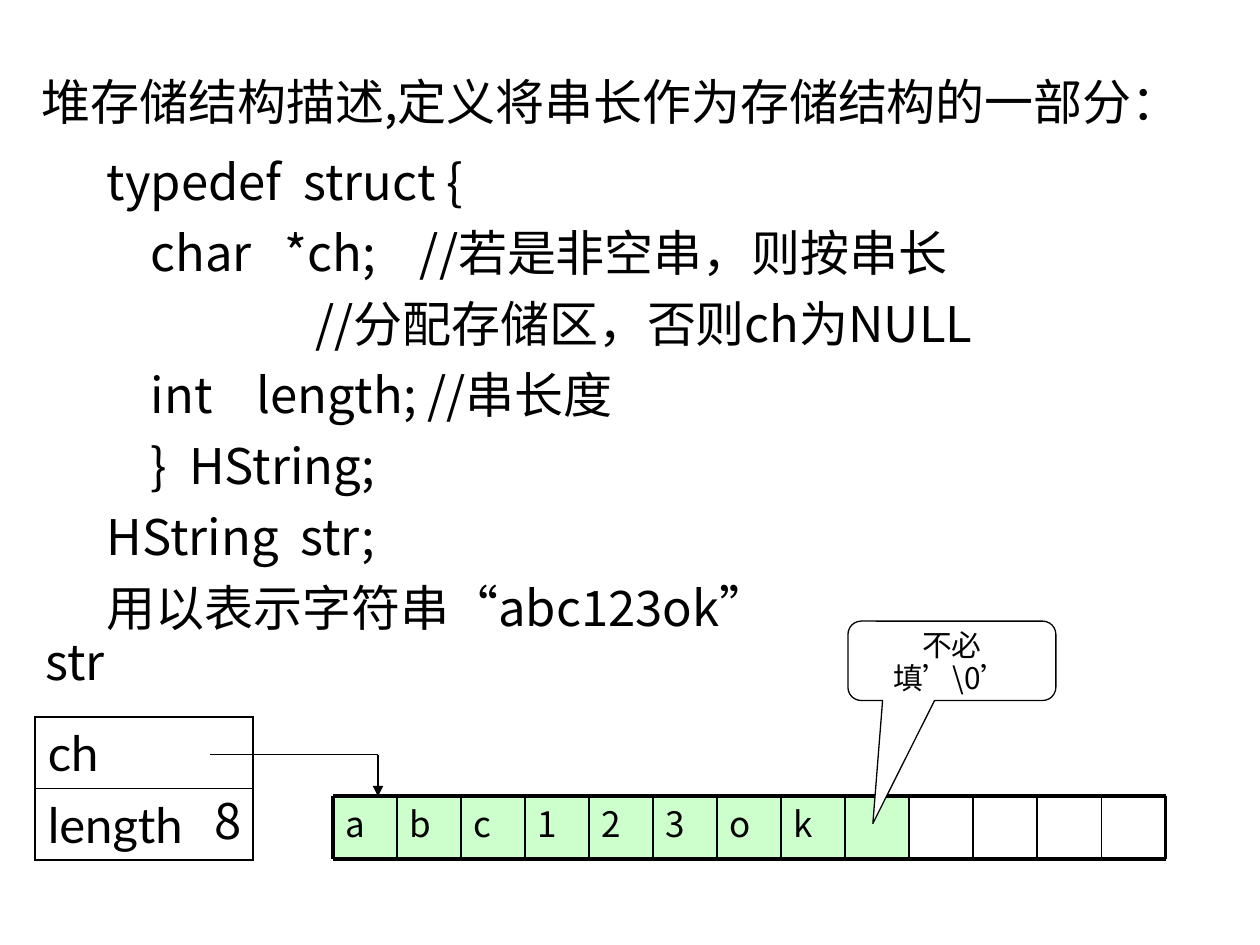
import itertools

import pptx
import pptx.dml.color
import pptx.enum.shapes
import pptx.enum.text
import pptx.oxml.ns
import pptx.util
from lxml import etree

Inches, Pt = pptx.util.Inches, pptx.util.Pt
SHAPE = pptx.enum.shapes.MSO_SHAPE
ANCHOR = pptx.enum.text.MSO_ANCHOR
ALIGN = pptx.enum.text.PP_ALIGN
qn = pptx.oxml.ns.qn

BLACK = pptx.dml.color.RGBColor(0, 0, 0)
WHITE = pptx.dml.color.RGBColor(255, 255, 255)
GREEN = pptx.dml.color.RGBColor(0xCC, 0xFF, 0xCC)
SANS = "Noto Sans CJK SC"
QUOTES = "“”’"

TITLE = "堆存储结构描述,定义将串长作为存储结构的一部分："
CODE = [
    "typedef  struct {",
    "    char   *ch;    //若是非空串，则按串长",
    "                   //分配存储区，否则ch为NULL",
    "    int    length; //串长度",
    "    }  HString;",
    "HString  str;",
    "用以表示字符串“abc123ok”",
]
LEFT, TOP, BASE = 2.64, 6.32, 6.82
SLOTS, USED = 13, 9
STEP = (9.25 - LEFT) / SLOTS


def write(frame, lines, size=28, font=SANS, align=ALIGN.LEFT, gap=0,
          space=None, anchor=ANCHOR.TOP, inset=0.1, wrap=True):
    """Fill a text frame; curly quotes are set in Arial."""
    frame.word_wrap = wrap
    frame.auto_size = pptx.enum.text.MSO_AUTO_SIZE.NONE
    frame.vertical_anchor = anchor
    frame.margin_left, frame.margin_right = Inches(inset), Inches(0.1)
    frame.margin_top = frame.margin_bottom = Inches(0.05)
    for index, line in enumerate(lines):
        para = frame.add_paragraph() if index else frame.paragraphs[0]
        para.alignment = align
        para.space_before = Pt(gap if index else 0)
        if space:
            para.line_spacing = space
        for quote, chars in itertools.groupby(line, lambda c: c in QUOTES):
            run = para.add_run()
            run.text = "".join(chars)
            run.font.size = Pt(size)
            run.font.color.rgb = BLACK
            run.font.name = "Arial" if quote else font
            east = etree.SubElement(run.font._element, qn("a:ea"))
            east.set("typeface", SANS)


def place(item, left, top, width, height):
    item.left, item.top = Inches(left), Inches(top)
    item.width, item.height = Inches(width), Inches(height)


def add_label(slide, box, lines, **fmt):
    label = slide.shapes.add_textbox(*map(Inches, box))
    write(label.text_frame, lines, **fmt)


def add_box(slide, kind, box, color, border=None):
    shape = slide.shapes.add_shape(kind, *map(Inches, box))
    shape.shadow.inherit = False
    shape.fill.solid()
    shape.fill.fore_color.rgb = color
    if border:
        shape.line.color.rgb = BLACK
        shape.line.width = Pt(border)
    else:
        shape.line.fill.background()
    return shape


def add_line(slide, start, end, width, arrow=False):
    line = slide.shapes.add_connector(
        pptx.enum.shapes.MSO_CONNECTOR.STRAIGHT, *map(Inches, start + end))
    line.line.color.rgb = BLACK
    line.line.width = Pt(width)
    if arrow:
        tail = etree.SubElement(line.line._get_or_add_ln(), qn("a:tailEnd"))
        tail.set("type", "triangle")
    etree.SubElement(line._element.spPr, qn("a:effectLst"))


def add_array(slide, letters):
    """Draw the heap cells, the used ones shaded, with their rules."""
    for index in range(USED):
        cell = add_box(slide, SHAPE.RECTANGLE,
                       (LEFT + index * STEP, TOP, STEP, BASE - TOP), GREEN)
        if index < len(letters):
            write(cell.text_frame, [letters[index]], size=20)
    for level in (TOP, BASE):
        add_line(slide, (LEFT, level), (LEFT + SLOTS * STEP, level), 2.25)
    for index in range(SLOTS + 1):
        edge = LEFT + index * STEP
        width = 2.25 if index in (0, SLOTS) else 1
        add_line(slide, (edge, TOP), (edge, BASE), width)


def set_border(cell, **widths):
    props = cell._tc.get_or_add_tcPr()
    for index, (side, width) in enumerate(widths.items()):
        line = etree.Element(qn("a:" + side), w=str(Pt(width)))
        fill = etree.SubElement(line, qn("a:solidFill"))
        etree.SubElement(fill, qn("a:srgbClr"), val=str(BLACK))
        props.insert(index, line)


def add_record(slide, names):
    """Draw the struct as a one-column table, a row per field."""
    box = map(Inches, (0.28, 5.69, 1.73, 1.13))
    table = slide.shapes.add_table(len(names), 1, *box).table
    table.first_row = table.horz_banding = False
    last = len(names) - 1
    for index, name in enumerate(names):
        cell = table.cell(index, 0)
        cell.fill.background()
        write(cell.text_frame, [name], font="Lato")
        cell.margin_left = cell.margin_right = Inches(0.1)
        cell.margin_top = cell.margin_bottom = Inches(0.05)
        set_border(cell, lnL=1.08, lnR=1.08,
                   lnT=0.45 if index else 1.08,
                   lnB=1.08 if index == last else 0.45)


def add_note(slide, text):
    note = add_box(slide, SHAPE.ROUNDED_RECTANGULAR_CALLOUT,
                   (6.73, 4.93, 1.65, 0.63), WHITE, border=0.75)
    note.adjustments[0], note.adjustments[1] = -0.38, 2.05
    write(note.text_frame, [text], size=17, align=ALIGN.CENTER, space=0.9)


def main():
    deck = pptx.Presentation()
    deck.slide_width, deck.slide_height = Inches(10), Inches(7.5)
    slide = deck.slides.add_slide(deck.slide_layouts[5])

    place(slide.shapes.title, 0.33, 0.52, 9.5, 0.57)
    write(slide.shapes.title.text_frame, [TITLE], inset=0)
    add_label(slide, (0.75, 1.15, 8.98, 3.95), CODE, gap=7)

    tag = {"anchor": ANCHOR.MIDDLE, "inset": 0, "wrap": False}
    add_label(slide, (0.36, 4.85, 0.78, 0.79), ["str"], **tag)
    add_record(slide, ["ch", "length"])
    add_label(slide, (1.7, 6.11, 0.78, 0.79), ["8"], **tag)

    add_array(slide, "abc123ok")
    add_line(slide, (1.67, 5.99), (3, 5.99), 0.75)
    add_line(slide, (3, 5.99), (3, TOP), 0.75, arrow=True)
    add_note(slide, "不必填’\\0’")
    deck.save("out.pptx")


if __name__ == "__main__":
    main()
